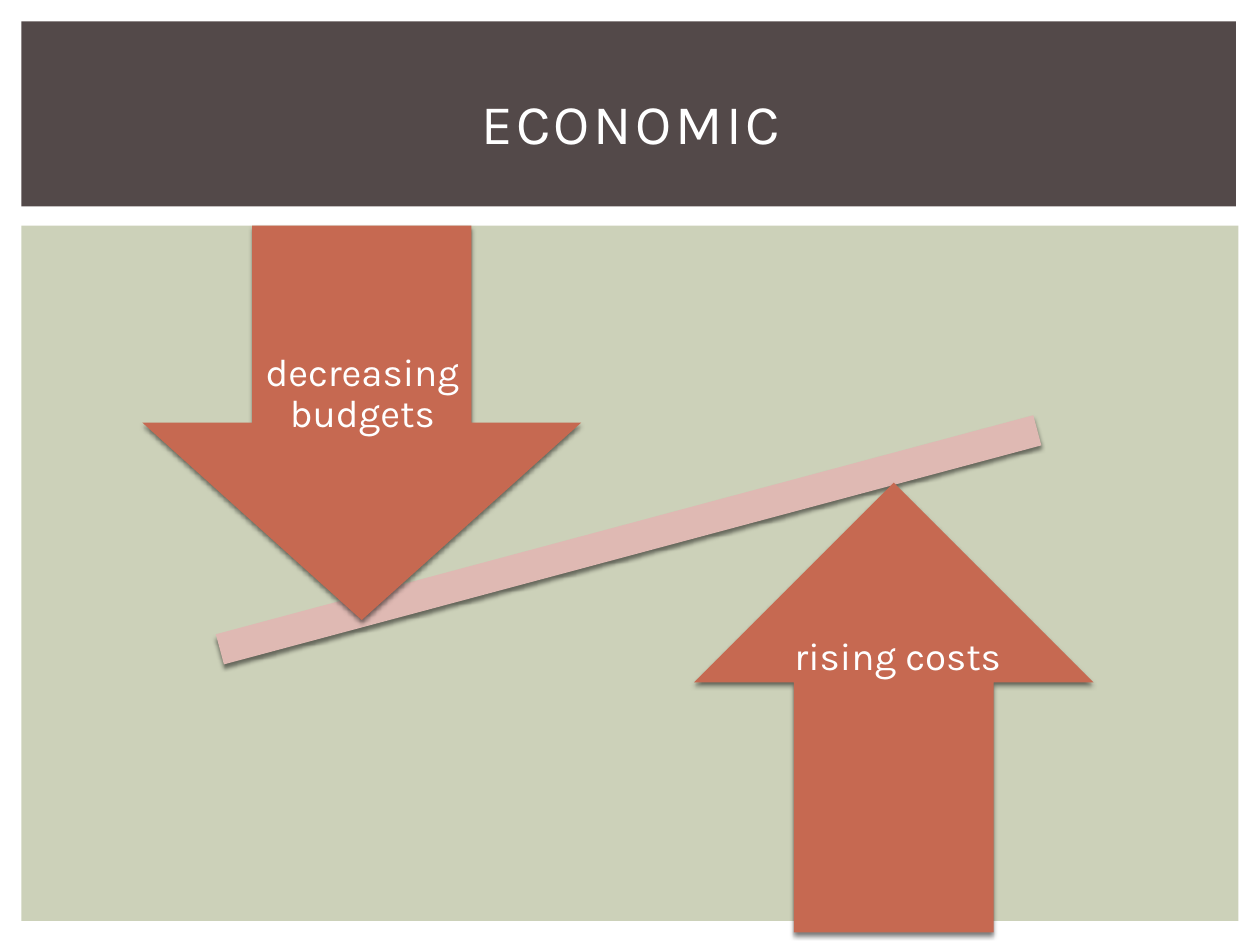
from dataclasses import dataclass

from lxml import etree
from pptx import Presentation
from pptx.dml.color import RGBColor
from pptx.enum.shapes import MSO_SHAPE as Kind
from pptx.enum.text import MSO_ANCHOR as Anchor, PP_ALIGN as Align
from pptx.oxml import parse_xml
from pptx.oxml.ns import nsdecls, qn
from pptx.shapes.autoshape import Shape
from pptx.slide import Slide
from pptx.text.text import TextFrame
from pptx.util import Pt

FONT = "Karla"
COLORS = {
    "panel": "CCD1B9",
    "band": "534949",
    "beam": "DFB9B3",
    "arrow": "C66951",
    "text": "FFFFFF",
    "shade": "000000",
}


@dataclass(frozen=True)
class Box:
    left: float
    top: float
    width: float
    height: float

    def place(self) -> tuple[Pt, Pt, Pt, Pt]:
        return Pt(self.left), Pt(self.top), Pt(self.width), Pt(self.height)


@dataclass(frozen=True)
class Block:
    kind: Kind
    box: Box
    color: str
    turn: float = 0
    shade: bool = False


@dataclass(frozen=True)
class Label:
    text: str
    box: Box


BLOCKS = [
    Block(Kind.RECTANGLE, Box(12.24, 128.88, 695.5, 397.4), "panel"),
    Block(Kind.RECTANGLE, Box(12.24, 12.24, 694, 105.8), "band"),
    Block(Kind.MATH_MINUS, Box(30.24, 270.7, 658, 75.6), "beam", 345, True),
    Block(Kind.DOWN_ARROW, Box(81.4, 128.88, 250.6, 225.4), "arrow", shade=True),
    Block(Kind.UP_ARROW, Box(396.7, 275.8, 228.2, 257), "arrow", shade=True),
]
LABELS = [
    Label("decreasing budgets", Box(131.8, 178.6, 150.5, 93.6)),
    Label("rising costs", Box(439.9, 352.1, 146.2, 47.5)),
]
TITLE = Label("ECONOMIC", Box(30.24, 28.1, 660.2, 82.8))


def cast_shade(shape: Shape) -> None:
    """Add a soft shadow straight below the shape."""
    effects = shape.element.spPr.find(qn("a:effectLst"))
    effects.append(parse_xml(
        f'<a:outerShdw {nsdecls("a")} blurRad="{Pt(2.5)}" dist="{Pt(2)}" '
        f'dir="5400000" rotWithShape="0"><a:srgbClr val="{COLORS["shade"]}">'
        '<a:alpha val="50000"/></a:srgbClr></a:outerShdw>'
    ))


def draw_block(slide: Slide, block: Block) -> None:
    shape = slide.shapes.add_shape(block.kind, *block.box.place())
    shape.rotation = block.turn
    shape.fill.solid()
    shape.fill.fore_color.rgb = RGBColor.from_string(COLORS[block.color])
    shape.line.fill.background()
    shape.shadow.inherit = False
    if block.shade:
        cast_shade(shape)


def write(frame: TextFrame, text: str, size: float) -> None:
    """Set centred text in the slide's font and colour."""
    frame.text = text
    frame.word_wrap = True
    frame.vertical_anchor = Anchor.MIDDLE
    para = frame.paragraphs[0]
    para.alignment = Align.CENTER
    font = para.runs[0].font
    font.name, font.size = FONT, Pt(size)
    font.color.rgb = RGBColor.from_string(COLORS["text"])


def draw_label(slide: Slide, label: Label) -> None:
    frame = slide.shapes.add_textbox(*label.box.place()).text_frame
    write(frame, label.text, 22)
    frame.margin_left = frame.margin_right = Pt(12.24)
    frame.margin_top = frame.margin_bottom = Pt(12.24)
    para = frame.paragraphs[0]
    para.line_spacing = 0.9
    after = etree.SubElement(para.runs[0].font._element.getparent().getparent()
                             .get_or_add_pPr(), qn("a:spcAft"))
    etree.SubElement(after, qn("a:spcPct")).set("val", "35000")


def draw_title(slide: Slide, label: Label) -> None:
    title = slide.shapes.title
    title.left, title.top, title.width, title.height = label.box.place()
    write(title.text_frame, label.text, 32)
    run = title.element.find(".//" + qn("a:rPr"))
    run.set("spc", "200")
    title.element.getparent().append(title.element)  # bring to front


def main() -> None:
    deck = Presentation()
    deck.slide_width, deck.slide_height = Pt(720), Pt(540)
    slide = deck.slides.add_slide(deck.slide_layouts[5])
    for block in BLOCKS:
        draw_block(slide, block)
    for label in LABELS:
        draw_label(slide, label)
    draw_title(slide, TITLE)
    deck.save("out.pptx")


if __name__ == "__main__":
    main()
